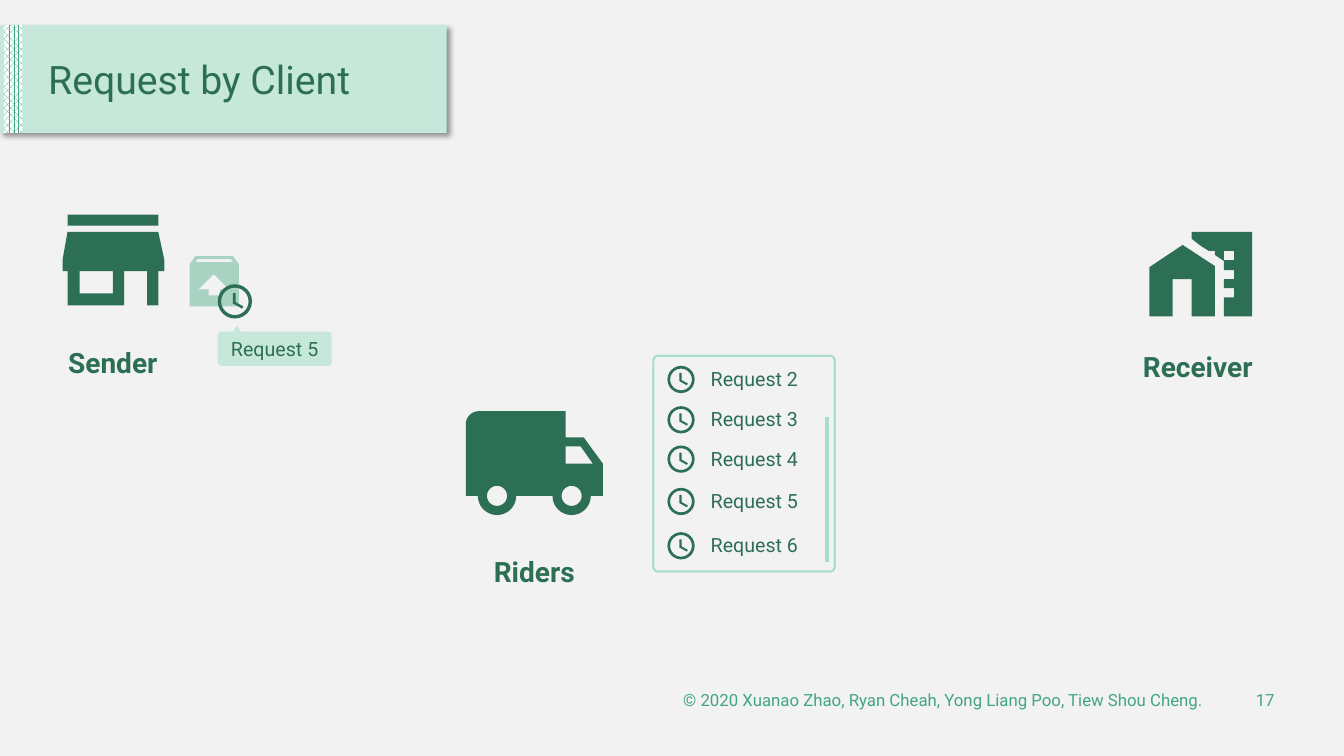
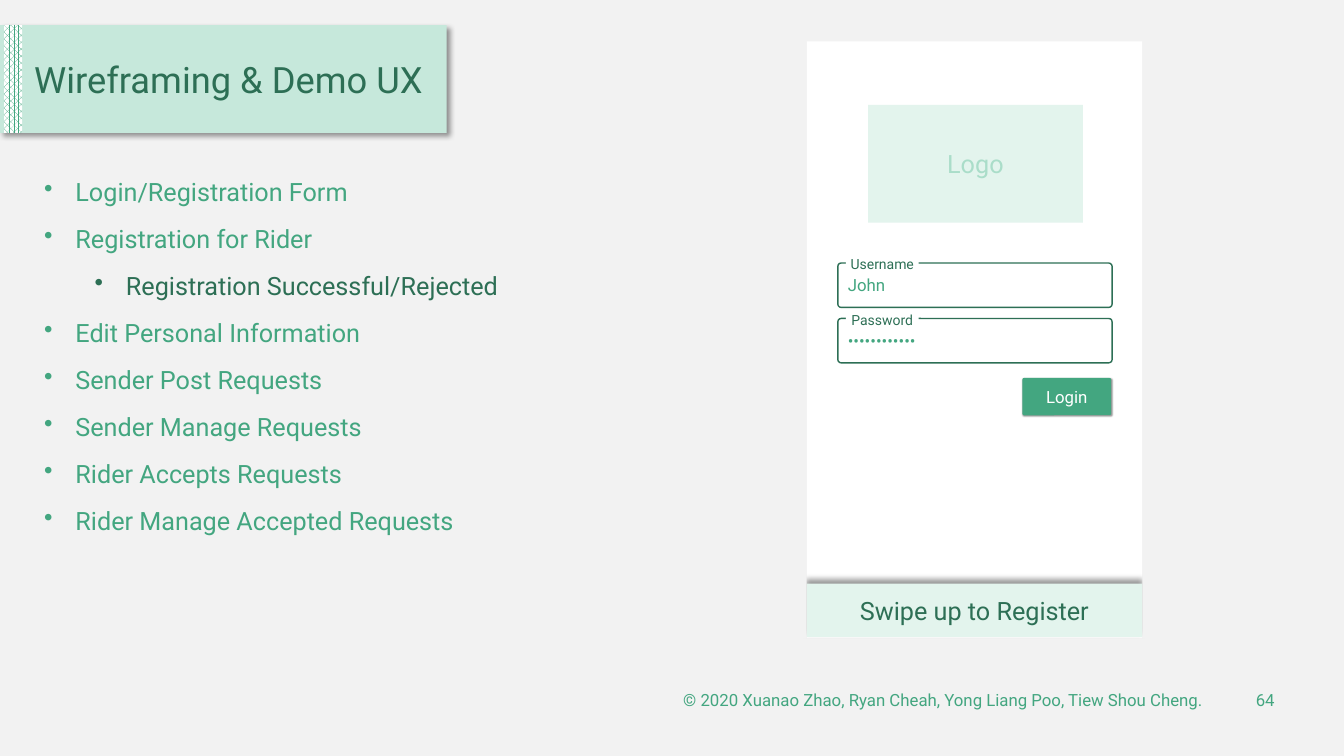
import math

from pptx import Presentation
from pptx.dml.color import RGBColor
from pptx.enum.dml import MSO_PATTERN
from pptx.enum.shapes import MSO_CONNECTOR, MSO_SHAPE
from pptx.enum.text import MSO_ANCHOR, PP_ALIGN
from pptx.oxml.ns import qn
from pptx.util import Inches, Pt
from lxml import etree

RECTANGLE, ROUNDED = MSO_SHAPE.RECTANGLE, MSO_SHAPE.ROUNDED_RECTANGLE
DONUT = MSO_SHAPE.DONUT
LEFT, CENTER, RIGHT = PP_ALIGN.LEFT, PP_ALIGN.CENTER, PP_ALIGN.RIGHT
TOP, MIDDLE, BOTTOM = MSO_ANCHOR.TOP, MSO_ANCHOR.MIDDLE, MSO_ANCHOR.BOTTOM

FONT = "Roboto"
DARK, GREEN, SOFT = "2D6F55", "43A680", "AADDC9"
MINT, PALE = "C6E8DB", "E3F4ED"
WHITE, BACKGROUND = "FFFFFF", "F2F2F2"
COPYRIGHT = "© 2020 Xuanao Zhao, Ryan Cheah, Yong Liang Poo, Tiew Shou Cheng."


def color(value):
    return RGBColor.from_string(value)


# --- Text ---

def write_text(shape, text, size=14, fill=DARK, bold=False, align=LEFT,
               anchor=TOP, wrap=True, line_spacing=None, margin=None):
    frame = shape.text_frame
    frame.word_wrap = wrap
    frame.vertical_anchor = anchor
    if margin is not None:
        frame.margin_left = frame.margin_right = Inches(margin)
        frame.margin_top = frame.margin_bottom = Inches(margin)
    paragraph = frame.paragraphs[0]
    paragraph.alignment = align
    if line_spacing:
        paragraph.line_spacing = line_spacing
    add_run(paragraph, text, size, fill, bold)


def add_run(paragraph, text, size, fill, bold=False):
    run = paragraph.add_run()
    run.text = text
    run.font.name = FONT
    run.font.size = Pt(size)
    run.font.bold = bold
    run.font.color.rgb = color(fill)


def add_text(slide, text, left, top, width, height, **text_format):
    box = slide.shapes.add_textbox(Inches(left), Inches(top),
                                   Inches(width), Inches(height))
    write_text(box, text, **text_format)


def add_bullets(slide, items, left, top, width, height):
    box = slide.shapes.add_textbox(Inches(left), Inches(top),
                                   Inches(width), Inches(height))
    frame = box.text_frame
    frame.word_wrap = True
    for index, (text, level) in enumerate(items):
        paragraph = frame.add_paragraph() if index else frame.paragraphs[0]
        paragraph.level = level
        if index:
            paragraph.space_before = Pt(12)
        properties = paragraph._p.get_or_add_pPr()
        properties.set("marL", str(Inches(0.31 + 0.5 * level)))
        properties.set("indent", str(Inches(-0.31)))
        bullet = etree.SubElement(properties, qn("a:buChar"))
        bullet.set("char", "•")
        add_run(paragraph, text, 18, DARK if level else GREEN)


# --- Shapes ---

def style_shape(shape, fill=None, line=None, line_width=1):
    shape.shadow.inherit = False
    if fill:
        shape.fill.solid()
        shape.fill.fore_color.rgb = color(fill)
    else:
        shape.fill.background()
    if line:
        shape.line.color.rgb = color(line)
        shape.line.width = Pt(line_width)
    else:
        shape.line.fill.background()


def add_shape(slide, kind, left, top, width, height, adjust=None, **style):
    shape = slide.shapes.add_shape(kind, Inches(left), Inches(top),
                                   Inches(width), Inches(height))
    if adjust is not None:
        shape.adjustments[0] = adjust
    style_shape(shape, **style)
    return shape


def add_shadow(shape, blur, distance, angle):
    effects = shape._element.spPr.find(qn("a:effectLst"))
    shadow = etree.SubElement(effects, qn("a:outerShdw"), {
        "blurRad": str(Pt(blur)), "dist": str(Pt(distance)),
        "dir": str(angle * 60000), "rotWithShape": "0"})
    shade = etree.SubElement(shadow, qn("a:srgbClr"), val="000000")
    etree.SubElement(shade, qn("a:alpha"), val="40000")


def arc(center_x, center_y, radius, start, end, steps=24):
    """Points along an arc; angles in degrees, clockwise from the right."""
    angles = [math.radians(start + (end - start) * step / steps)
              for step in range(steps + 1)]
    return [(center_x + radius * math.cos(angle),
             center_y + radius * math.sin(angle)) for angle in angles]


def box_points(left, top, right, bottom):
    return [(left, top), (right, top), (right, bottom), (left, bottom)]


def add_outline(slide, *contours, fill=DARK):
    """One filled freeform; an inner contour makes a hole."""
    builder = None
    for contour in contours:
        points = [(Inches(x), Inches(y)) for x, y in contour]
        if builder is None:
            builder = slide.shapes.build_freeform(*points[0], scale=1.0)
        else:
            builder.move_to(*points[0])
        builder.add_line_segments(points[1:], close=True)
    shape = builder.convert_to_shape()
    style_shape(shape, fill=fill)
    return shape


# --- Shared slide parts ---

def add_base_slide(presentation, title, number, title_left, title_size):
    slide = presentation.slides.add_slide(presentation.slide_layouts[6])
    band = add_shape(slide, RECTANGLE, 0, 0.25, 4.43, 1.07, fill=MINT)
    add_shadow(band, 4, 3, 45)
    strip = add_shape(slide, RECTANGLE, 0.04, 0.25, 0.18, 1.07)
    strip.fill.patterned()
    strip.fill.pattern = MSO_PATTERN.PERCENT_70
    strip.fill.fore_color.rgb = color(GREEN)
    strip.fill.back_color.rgb = color(WHITE)
    add_text(slide, title, title_left, 0.41, 4.17, 0.81, size=title_size,
             anchor=MIDDLE, line_spacing=0.9)
    footer = {"size": 12, "fill": GREEN, "align": RIGHT, "anchor": MIDDLE}
    add_text(slide, COPYRIGHT, 5.44, 6.74, 6.59, 0.4, **footer)
    add_text(slide, number, 12.15, 6.74, 0.59, 0.4, **footer)
    return slide


# --- Icons ---

def add_clock(slide, left, top, size):
    add_shape(slide, DONUT, left, top, size, size, adjust=0.1, fill=DARK)
    hands = [(0.52, 0.26), (0.44, 0.26), (0.44, 0.56),
             (0.71, 0.71), (0.75, 0.65), (0.52, 0.52)]
    add_outline(slide, [(left + x * size, top + y * size) for x, y in hands])


def add_shop(slide):
    add_outline(
        slide,
        box_points(0.67, 2.13, 1.57, 2.24),
        [(1.63, 2.69), (1.63, 2.58), (1.57, 2.3), (0.67, 2.3), (0.62, 2.58),
         (0.62, 2.69), (0.67, 2.69), (0.67, 3.03), (1.23, 3.03), (1.23, 2.69),
         (1.46, 2.69), (1.46, 3.03), (1.57, 3.03), (1.57, 2.69)],
        box_points(0.79, 2.69, 1.12, 2.91))


def add_parcel(slide):
    parcel = add_outline(
        slide,
        [(2.31, 2.54), (1.94, 2.54), (1.88, 2.62), (1.88, 3.04),
         (2.37, 3.04), (2.37, 2.62)],
        [(2.18, 2.87), (2.18, 2.93), (2.07, 2.93), (2.07, 2.87),
         (1.97, 2.87), (2.12, 2.72), (2.27, 2.87)],
        [(1.94, 2.6), (1.96, 2.57), (2.29, 2.57), (2.31, 2.6)],
        fill=GREEN)
    shade = parcel._element.spPr.find(qn("a:solidFill"))[0]
    etree.SubElement(shade, qn("a:alpha"), val="42000")


def add_home(slide):
    add_outline(slide, [
        (11.73, 2.43), (11.4, 2.65), (11.4, 3.14), (11.63, 3.14),
        (11.63, 2.77), (11.82, 2.77), (11.82, 3.14), (12.05, 3.14),
        (12.05, 2.64)])
    add_outline(
        slide,
        [(11.82, 2.3), (11.82, 2.37), (11.91, 2.44), (11.99, 2.49),
         (12.05, 2.49), (12.05, 2.53), (12.14, 2.59), (12.14, 2.68),
         (12.24, 2.68), (12.24, 2.77), (12.14, 2.77), (12.14, 2.86),
         (12.24, 2.86), (12.24, 2.95), (12.14, 2.95), (12.14, 3.14),
         (12.42, 3.14), (12.42, 2.3)],
        box_points(12.14, 2.49, 12.24, 2.58))


def add_truck(slide):
    axle, wheels = 4.92, (4.93, 5.67)
    body = [(5.79, 4.34), (5.61, 4.34), (5.61, 4.08)]
    body += arc(4.75, 4.21, 0.13, 270, 180) + [(4.62, axle)]
    for wheel in wheels:
        body += arc(wheel, axle, 0.19, 180, 0)
    body += [(5.98, axle), (5.98, 4.6)]
    window = [(5.76, 4.43), (5.88, 4.6), (5.61, 4.6), (5.61, 4.43)]
    hubs = [arc(wheel, axle, 0.1, 0, 360) for wheel in wheels]
    add_outline(slide, body, window, *hubs)


def add_callout(slide, text):
    left, top, right, bottom, radius = 2.16, 3.29, 3.29, 3.63, 0.04
    points = [(2.31, top), (2.35, 3.23), (2.39, top)]
    points += arc(right - radius, top + radius, radius, -90, 0, 6)
    points += arc(right - radius, bottom - radius, radius, 0, 90, 6)
    points += arc(left + radius, bottom - radius, radius, 90, 180, 6)
    points += arc(left + radius, top + radius, radius, 180, 270, 6)
    callout = add_outline(slide, points, fill=MINT)
    write_text(callout, text, align=CENTER, anchor=BOTTOM)


# --- Slides ---

def build_request_slide(presentation):
    slide = add_base_slide(presentation, "Request by Client", "17", 0.38, 28)
    add_shop(slide)
    add_parcel(slide)
    add_clock(slide, 2.16, 2.82, 0.34)
    add_callout(slide, "Request 5")
    add_home(slide)
    add_truck(slide)
    for name, left, top in (("Sender", 0.37, 3.38), ("Receiver", 11.13, 3.42),
                            ("Riders", 4.55, 5.45)):
        add_text(slide, name, left, top, 1.5, 0.44, size=20, bold=True,
                 align=CENTER)

    # Scrolling request list
    add_shape(slide, ROUNDED, 6.48, 3.53, 1.8, 2.14, adjust=0.026,
              line=SOFT, line_width=1.5)
    for number, top in enumerate((3.63, 4.03, 4.42, 4.84, 5.28), start=2):
        add_clock(slide, 6.62, top, 0.27)
        add_text(slide, f"Request {number}", 6.95, top - 0.04, 1.25, 0.34)
    scrollbar = slide.shapes.add_connector(
        MSO_CONNECTOR.STRAIGHT, Inches(8.2), Inches(4.14),
        Inches(8.2), Inches(5.58))
    scrollbar.line.color.rgb = color(SOFT)
    scrollbar.line.width = Pt(3)
    etree.SubElement(scrollbar._element.spPr, qn("a:effectLst"))


def add_field(slide, label, value, top):
    add_shape(slide, ROUNDED, 8.31, top, 2.72, 0.44, adjust=0.075, line=DARK)
    tag = add_shape(slide, RECTANGLE, 8.39, top - 0.04, 0.72, 0.1, fill=WHITE)
    write_text(tag, label, size=10, align=CENTER, anchor=MIDDLE, wrap=False,
               margin=0)
    add_text(slide, value, 8.31, top + 0.07, 1.65, 0.3, size=12, fill=GREEN)


def build_wireframe_slide(presentation):
    slide = add_base_slide(presentation, "Wireframing & Demo UX", "64",
                           0.24, 25.9)
    add_bullets(slide, [
        ("Login/Registration Form", 0),
        ("Registration for Rider", 0),
        ("Registration Successful/Rejected", 1),
        ("Edit Personal Information", 0),
        ("Sender Post Requests", 0),
        ("Sender Manage Requests", 0),
        ("Rider Accepts Requests", 0),
        ("Rider Manage Accepted Requests", 0),
    ], 0.34, 1.7, 4.99, 3.7)

    # Phone screen with login form
    add_shape(slide, RECTANGLE, 8, 0.41, 3.33, 5.92, fill=WHITE)
    logo = add_shape(slide, RECTANGLE, 8.61, 1.04, 2.13, 1.17, fill=PALE)
    write_text(logo, "Logo", size=18, fill=SOFT, align=CENTER, anchor=MIDDLE)
    add_field(slide, "Username", "John", 2.61)
    add_field(slide, "Password", "••••••••••••", 3.16)
    login = add_shape(slide, ROUNDED, 10.14, 3.75, 0.88, 0.37, adjust=0.046,
                      fill=GREEN)
    add_shadow(login, 1, 1, 45)
    write_text(login, "Login", size=12, fill=WHITE, align=CENTER,
               anchor=MIDDLE)
    drawer = add_shape(slide, RECTANGLE, 8, 5.79, 3.33, 0.53, fill=PALE)
    add_shadow(drawer, 4, 3, 270)
    write_text(drawer, "Swipe up to Register", size=18, align=CENTER,
               anchor=MIDDLE)

    # Side masks trim the drawer shadow to the screen
    for left in (7.18, 11.33):
        add_shape(slide, RECTANGLE, left, 0.41, 0.82, 5.92, fill=BACKGROUND)


def main():
    presentation = Presentation()
    presentation.slide_width = Inches(13.33)
    presentation.slide_height = Inches(7.5)
    background = presentation.slide_master.background.fill
    background.solid()
    background.fore_color.rgb = color(BACKGROUND)
    build_request_slide(presentation)
    build_wireframe_slide(presentation)
    presentation.save("out.pptx")


if __name__ == "__main__":
    main()
